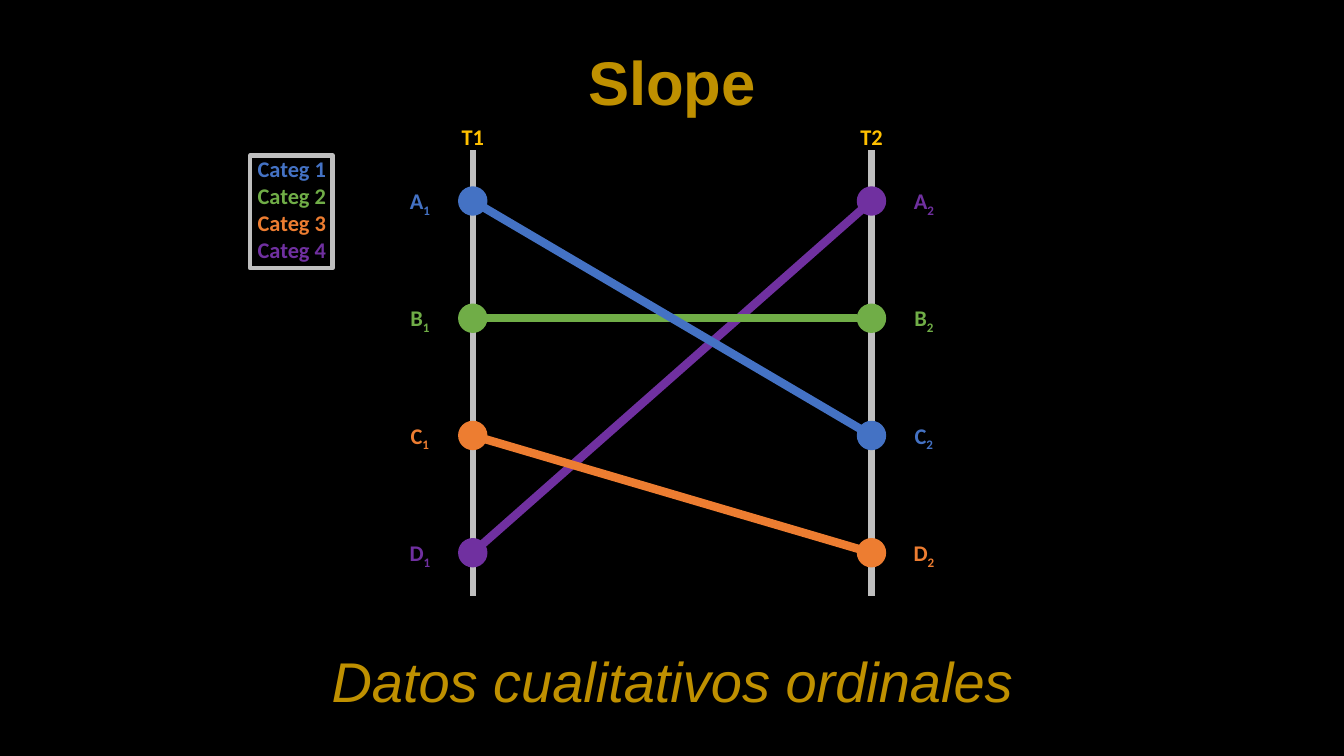
from dataclasses import dataclass

from lxml.etree import SubElement
from pptx import Presentation
from pptx.dml.color import RGBColor
from pptx.enum.shapes import MSO_CONNECTOR, MSO_SHAPE
from pptx.enum.text import MSO_ANCHOR, MSO_AUTO_SIZE, PP_ALIGN
from pptx.oxml.ns import qn
from pptx.shapes.autoshape import Shape
from pptx.slide import Slide
from pptx.text.text import Font
from pptx.util import Pt

COLOURS = {
    "background": "000000",
    "heading": "BF9000",
    "period": "FFC000",
    "axis": "BFBFBF",
    "blue": "4472C4",
    "green": "70AD47",
    "orange": "ED7D31",
    "purple": "7030A0",
}
RANKS = "ABCD"
FIRST_RANK_Y = 143.6
RANK_GAP = 83.74
NODE_RADIUS = 10
LABEL_WIDTH = 32.4
LABEL_HEIGHT = 26.6
AXIS_TOP = 107.2
AXIS_BOTTOM = 425.5


@dataclass(frozen=True)
class Period:
    name: str
    subscript: str
    axis_x: float
    label_x: float


@dataclass(frozen=True)
class Category:
    name: str
    colour: str
    first_rank: str
    second_rank: str


PERIODS = [
    Period("T1", "1", 337.7, 299.9),
    Period("T2", "2", 622.5, 659.9),
]
CATEGORIES = [
    Category("Categ 1", "blue", "A", "C"),
    Category("Categ 2", "green", "B", "B"),
    Category("Categ 3", "orange", "C", "D"),
    Category("Categ 4", "purple", "D", "A"),
]
SLOPE_ORDER = ["purple", "green", "orange", "blue"]


def rgb(colour: str) -> RGBColor:
    return RGBColor.from_string(COLOURS[colour])


def rank_y(rank: str) -> float:
    return FIRST_RANK_Y + RANKS.index(rank) * RANK_GAP


def style_font(font: Font, colour: str, size: float = 16, name: str = "Calibri",
               bold: bool = True, italic: bool = False) -> None:
    font.name = name
    font.size = Pt(size)
    font.bold = bold
    font.italic = italic
    font.color.rgb = rgb(colour)


def write_centred(holder: Shape, text: str) -> None:
    frame = holder.text_frame
    frame.text = text
    frame.word_wrap = True
    frame.auto_size = MSO_AUTO_SIZE.SHAPE_TO_FIT_TEXT
    frame.vertical_anchor = MSO_ANCHOR.TOP
    for paragraph in frame.paragraphs:
        paragraph.alignment = PP_ALIGN.CENTER


def add_text(slide: Slide, text: str, left: float, top: float,
             width: float, height: float) -> Shape:
    holder = slide.shapes.add_textbox(Pt(left), Pt(top), Pt(width), Pt(height))
    write_centred(holder, text)
    return holder


def add_line(slide: Slide, x1: float, y1: float, x2: float, y2: float,
             colour: str, weight: float) -> None:
    line = slide.shapes.add_connector(
        MSO_CONNECTOR.STRAIGHT, Pt(x1), Pt(y1), Pt(x2), Pt(y2))
    line.line.color.rgb = rgb(colour)
    line.line.width = Pt(weight)
    SubElement(line._element.spPr, qn("a:effectLst"))


def add_period(slide: Slide, period: Period) -> None:
    add_line(slide, period.axis_x, AXIS_TOP, period.axis_x, AXIS_BOTTOM, "axis", 4.5)
    heading = add_text(slide, period.name, period.axis_x - LABEL_WIDTH / 2, 84.2,
                       LABEL_WIDTH, LABEL_HEIGHT)
    style_font(heading.text_frame.paragraphs[0].runs[0].font, "period")


def add_node(slide: Slide, period: Period, rank: str, colour: str) -> None:
    y = rank_y(rank)
    node = slide.shapes.add_shape(
        MSO_SHAPE.OVAL, Pt(period.axis_x - NODE_RADIUS), Pt(y - NODE_RADIUS),
        Pt(2 * NODE_RADIUS), Pt(2 * NODE_RADIUS))
    node.shadow.inherit = False
    node.fill.solid()
    node.fill.fore_color.rgb = rgb(colour)
    node.line.color.rgb = rgb(colour)
    node.line.width = Pt(1)

    label = add_text(slide, rank, period.label_x - LABEL_WIDTH / 2,
                     y - LABEL_HEIGHT / 2, LABEL_WIDTH, LABEL_HEIGHT)
    paragraph = label.text_frame.paragraphs[0]
    subscript = paragraph.add_run()
    subscript.text = period.subscript
    for run in paragraph.runs:
        style_font(run.font, colour)
    subscript._r.get_or_add_rPr().set("baseline", "-25000")


def add_slope(slide: Slide, category: Category) -> None:
    start, end = PERIODS
    level = category.first_rank == category.second_rank
    inset = NODE_RADIUS if level else 0
    add_line(slide, start.axis_x + inset, rank_y(category.first_rank),
             end.axis_x - inset, rank_y(category.second_rank), category.colour, 6)


def add_legend(slide: Slide) -> None:
    names = "\n".join(category.name for category in CATEGORIES)
    legend = add_text(slide, names, 168.5, 107.2, 80, 85)
    for paragraph, category in zip(legend.text_frame.paragraphs, CATEGORIES):
        style_font(paragraph.runs[0].font, category.colour)
    border = slide.shapes.add_shape(
        MSO_SHAPE.RECTANGLE, Pt(178.6), Pt(111), Pt(59), Pt(80.6))
    border.shadow.inherit = False
    border.fill.background()
    border.line.color.rgb = rgb("axis")
    border.line.width = Pt(3)


def main() -> None:
    presentation = Presentation()
    presentation.slide_width = Pt(960)
    presentation.slide_height = Pt(540)
    slide = presentation.slides.add_slide(presentation.slide_layouts[5])
    slide.background.fill.solid()
    slide.background.fill.fore_color.rgb = rgb("background")

    title = slide.shapes.title
    title.left, title.top, title.width, title.height = Pt(375.6), Pt(28), Pt(208.8), Pt(60.5)
    write_centred(title, "Slope")
    style_font(title.text_frame.paragraphs[0].runs[0].font, "heading", 44, "Arial")

    data_type = add_text(slide, "Datos cualitativos ordinales", 21, 458, 918, 55.5)
    style_font(data_type.text_frame.paragraphs[0].runs[0].font,
               "heading", 40, "Arial", bold=False, italic=True)

    for period in PERIODS:
        add_period(slide, period)
    for category in CATEGORIES:
        for period, rank in zip(PERIODS, (category.first_rank, category.second_rank)):
            add_node(slide, period, rank, category.colour)
    for category in sorted(CATEGORIES, key=lambda c: SLOPE_ORDER.index(c.colour)):
        add_slope(slide, category)
    add_legend(slide)

    presentation.save("out.pptx")


if __name__ == "__main__":
    main()
